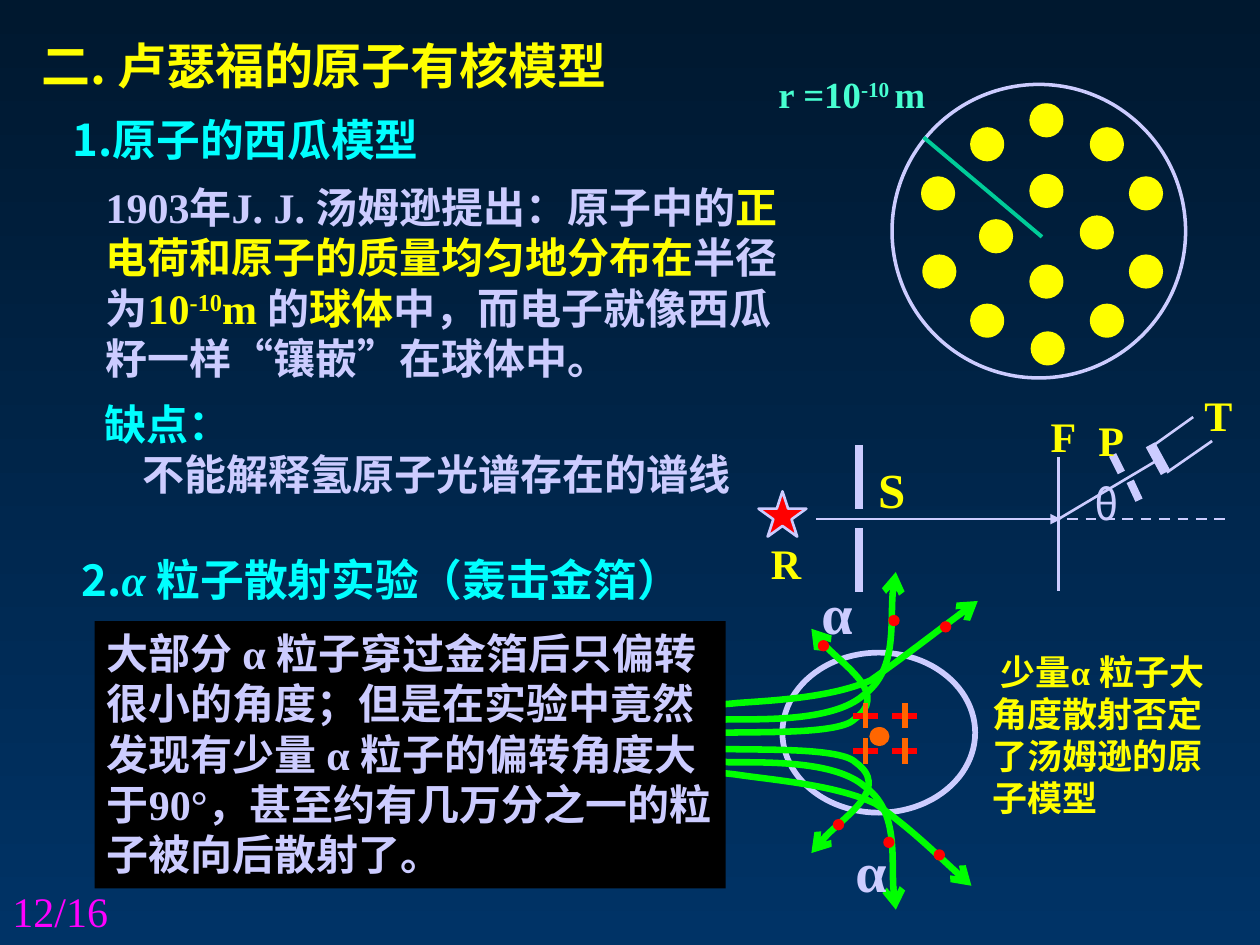
import pptx
import pptx.util
import pptx.dml.color
import pptx.enum.dml
import pptx.enum.shapes
import pptx.enum.text
import pptx.oxml
import pptx.oxml.ns

PX = 9144  # 100 px to the inch
SERIF, SANS = "Times New Roman", "Noto Sans CJK SC"
YELLOW, CYAN, LILAC, GREEN = "FFFF00", "00FFFF", "CCCCFF", "00FF00"
RED, ORANGE = "FF0000", "FF6600"
SHAPE = pptx.enum.shapes.MSO_SHAPE

# Runs: text, colour, then font overrides
TITLE = [[("二. 卢瑟福的原子有核模型", YELLOW)]]
MELON_HEADING = [[("1.原子的西瓜模型", CYAN)]]
MELON_MODEL = [[
    ("1903年J. J. 汤姆逊提出：原子中的", LILAC),
    ("正电荷和原子的质量均匀地分布在", YELLOW), ("半径为", LILAC),
    ("10", YELLOW), ("-10", YELLOW, {"raised": True}), ("m ", YELLOW),
    ("的", LILAC), ("球体", YELLOW),
    ("中，而电子就像西瓜籽一样“镶嵌”在球体中。", LILAC)]]
DRAWBACK = [[("缺点：", CYAN)], [("不能解释氢原子光谱存在的谱线", LILAC)]]
SCATTER_HEADING = [[("2.", CYAN), ("α ", CYAN, {"face": SERIF, "italic": True}),
                    ("粒子散射实验（轰击金箔）", CYAN)]]
CONCLUSION = [[(" 少量α 粒子大角度散射否定了汤姆逊的原子模型", YELLOW)]]
FINDING = [[("大部分 α 粒子穿过金箔后只偏转很小的角度；但是在实验中竟然发现有少量 α "
             "粒子的偏转角度大于90°，甚至约有几万分之一的粒子被向后散射了。", LILAC)]]
RADIUS = [[("r =10", "47FFD1"), ("-10 ", "47FFD1", {"raised": True}), ("m", "47FFD1")]]

ELECTRON_SIZE = 25
ELECTRONS = [(771, 102), (732, 141), (733, 203), (771, 242), (818, 211), (778, 175),
             (818, 139), (866, 102), (897, 141), (897, 203), (858, 172), (866, 242),
             (819, 264), (818, 83)]

# Apparatus: from x, from y, to x, to y, width
APPARATUS = [(682, 353, 682, 404, 4.5), (682, 419, 682, 470, 4.5),
             (840, 363, 840, 469, 1.5), (840, 412, 919, 365, 1.5),
             (883, 361, 890, 375, 4.5), (897, 382, 904, 397, 4.5),
             (926, 375, 962, 350, 1.5), (912, 356, 947, 331, 1.5),
             (913, 353, 925, 375, 6)]
LABELS = [("R", 602, 422, 44, 50, 24), ("S", 687, 360, 42, 57, 28),
          ("F", 824, 321, 40, 50, 24), ("P", 862, 324, 40, 50, 24),
          ("T", 946, 304, 42, 50, 24)]

# Alpha tracks: start point, then three points for each Bezier segment
TRACKS = [
    [(533, 583), (539, 583), (541, 584), (565, 582), (589, 580), (665, 584), (678, 571),
     (706, 551), (651, 514), (644, 499)],
    [(535, 571), (542, 571), (552, 574), (577, 571), (609, 571), (662, 572), (685, 552),
     (712, 533), (705, 474), (711, 454)],
    [(527, 558), (537, 558), (558, 561), (585, 558), (612, 556), (659, 554), (691, 540),
     (718, 521), (758, 490), (776, 477)],
    [(533, 593), (539, 593), (541, 592), (566, 594), (590, 596), (666, 592), (679, 605),
     (707, 625), (652, 662), (644, 677)],
    [(532, 603), (539, 603), (552, 601), (578, 605), (610, 605), (663, 604), (686, 624),
     (713, 643), (706, 702), (711, 722)],
    [(530, 614), (540, 615), (559, 611), (586, 615), (613, 619), (664, 623), (695, 638),
     (722, 657), (755, 689), (771, 703)]]
CHARGES = [(687, 596), (718, 596), (718, 568), (687, 568)]
CHARGE_ARM = 10
ALPHAS = [(705, 488), (701, 664), (746, 493), (649, 508), (661, 650), (741, 674)]
ALPHA_SIZE = 9
ALPHA_LABELS = [(669, 659), (642, 454)]


def px(*lengths):
    return [pptx.util.Emu(round(length * PX)) for length in lengths]


def rgb(code):
    return pptx.dml.color.RGBColor.from_string(code)


def xml(tag, **attributes):
    element = pptx.oxml.parse_xml(f"<a:{tag} {pptx.oxml.ns.nsdecls('a')}/>")
    for key, value in attributes.items():
        element.set(key, value)
    return element


def style_line(owner, color, width):
    owner.line.color.rgb = rgb(color)
    owner.line.width = pptx.util.Pt(width)


def add_arrowhead(owner, kind):
    owner.line._get_or_add_ln().append(xml("tailEnd", type=kind))


def figure(shapes, kind, box, fill=None, outline=None, width=1.5):
    shape = shapes.add_shape(kind, *px(*box))
    shape.shadow.inherit = False
    if fill:
        shape.fill.solid()
        shape.fill.fore_color.rgb = rgb(fill)
    else:
        shape.fill.background()
    if outline:
        style_line(shape, outline, width)
    else:
        shape.line.fill.background()
    return shape


def segment(shapes, ends, color, width):
    line = shapes.add_connector(pptx.enum.shapes.MSO_CONNECTOR.STRAIGHT, *px(*ends))
    style_line(line, color, width)
    line._element.spPr.append(xml("effectLst"))
    return line


def track(shapes, points):
    """Draw an arrowed curve, turning each three straight pieces into one Bezier."""
    builder = shapes.build_freeform(*points[0], scale=PX)
    builder.add_line_segments(points[1:], close=False)
    curve = builder.convert_to_shape()
    curve.shadow.inherit = False
    curve.fill.background()
    style_line(curve, GREEN, 3.75)
    add_arrowhead(curve, "arrow")
    pieces = curve._element.findall(".//" + pptx.oxml.ns.qn("a:lnTo"))
    for start in range(0, len(pieces), 3):
        bezier = xml("cubicBezTo")
        pieces[start].addprevious(bezier)
        for piece in pieces[start:start + 3]:
            bezier.append(piece[0])
            piece.getparent().remove(piece)


def write(frame, paragraphs, size, face=SERIF, bold=True, wrap=True, leading=None):
    """Fill a frame with runs; leading is the line pitch in multiples of the size."""
    frame.word_wrap = wrap
    frame.vertical_anchor = pptx.enum.text.MSO_ANCHOR.TOP
    for index, runs in enumerate(paragraphs):
        paragraph = frame.add_paragraph() if index else frame.paragraphs[0]
        paragraph.alignment = pptx.enum.text.PP_ALIGN.LEFT
        if leading:
            paragraph.line_spacing = pptx.util.Pt(round(size * leading, 1))
        for text, color, *overrides in runs:
            special = overrides[0] if overrides else {}
            run = paragraph.add_run()
            run.text = text
            run.font.size = pptx.util.Pt(size)
            run.font.bold = bold
            run.font.italic = special.get("italic", False)
            run.font.color.rgb = rgb(color)
            run.font.name = special.get("face", face)
            properties = run._r.get_or_add_rPr()
            properties.append(xml("ea", typeface=SANS))
            if special.get("raised"):
                properties.set("baseline", "30000")


def label(shapes, box, paragraphs, size, **options):
    frame = shapes.add_textbox(*px(*box)).text_frame
    write(frame, paragraphs, size, **options)
    return frame


def draw_apparatus(shapes):
    for *ends, width in APPARATUS:
        segment(shapes, ends, LILAC, width)
    figure(shapes, SHAPE.STAR_5_POINT, (602, 390, 38, 36), RED, LILAC)
    add_arrowhead(segment(shapes, (648, 412, 842, 412), LILAC, 1.5), "triangle")
    axis = segment(shapes, (847, 412, 976, 412), LILAC, 1.5)
    axis.line.dash_style = pptx.enum.dml.MSO_LINE.DASH
    for name, *box, size in LABELS:
        label(shapes, box, [[(name, YELLOW)]], size, wrap=False)
    label(shapes, (859, 375, 53, 50), [[("θ", LILAC)]], 24, face=SANS, bold=False,
          wrap=False, leading=1.2)


def draw_scattering(shapes):
    figure(shapes, SHAPE.OVAL, (621, 518, 153, 127), None, LILAC, 3.25)
    for points in TRACKS:
        track(shapes, points)
    figure(shapes, SHAPE.OVAL, (690, 577, 16, 15), ORANGE)
    for x, y in CHARGES:
        segment(shapes, (x - CHARGE_ARM, y, x + CHARGE_ARM, y), RED, 3.25)
        segment(shapes, (x, y - CHARGE_ARM, x, y + CHARGE_ARM), ORANGE, 3.25)
    for x, y in ALPHA_LABELS:
        label(shapes, (x, y, 48, 63), [[("α", LILAC)]], 32, wrap=False)
    for x, y in ALPHAS:
        figure(shapes, SHAPE.OVAL, (x, y, ALPHA_SIZE, ALPHA_SIZE), RED)


def main():
    deck = pptx.Presentation()
    deck.slide_width, deck.slide_height = px(1000, 750)
    slide = deck.slides.add_slide(deck.slide_layouts[6])
    backdrop = slide.background.fill
    backdrop.gradient()
    backdrop.gradient_angle = 270
    for stop, color, position in zip(backdrop.gradient_stops, ("00182F", "003366"), (0, 1)):
        stop.color.rgb = rgb(color)
        stop.position = position
    shapes = slide.shapes

    title = label(shapes, (23, 23, 608, 57), TITLE, 28, face=SANS)
    title.vertical_anchor = pptx.enum.text.MSO_ANCHOR.MIDDLE
    label(shapes, (74, 139, 558, 172), MELON_MODEL, 24, leading=1.2)
    label(shapes, (48, 81, 515, 52), MELON_HEADING, 25, face=SANS, leading=1.3)
    figure(shapes, SHAPE.OVAL, (708, 67, 233, 233), None, LILAC, 2)
    for x, y in ELECTRONS:
        figure(shapes, SHAPE.OVAL, (x, y, ELECTRON_SIZE, ELECTRON_SIZE), YELLOW, YELLOW)
    drawback = label(shapes, (73, 311, 568, 91), DRAWBACK, 24, leading=1.2)
    drawback.paragraphs[1]._p.get_or_add_pPr().set("indent", str(30 * PX))
    label(shapes, (55, 430, 586, 52), SCATTER_HEADING, 25, face=SANS, leading=1.3)
    draw_apparatus(shapes.add_group_shape().shapes)
    label(shapes, (778, 511, 206, 145), CONCLUSION, 20, leading=1.2)
    draw_scattering(shapes.add_group_shape().shapes)
    finding = figure(shapes, SHAPE.RECTANGLE, (75, 493, 501, 212), "000000")
    write(finding.text_frame, FINDING, 24, leading=1.2)
    label(shapes, (0, 698, 233, 52), [[("12/16", "FF00FF")]], 24, bold=False)
    segment(shapes, (827, 188, 733, 109), "00CC99", 2.25)
    label(shapes, (608, 52, 142, 45), RADIUS, 21, wrap=False)
    deck.save("out.pptx")


if __name__ == "__main__":
    main()
